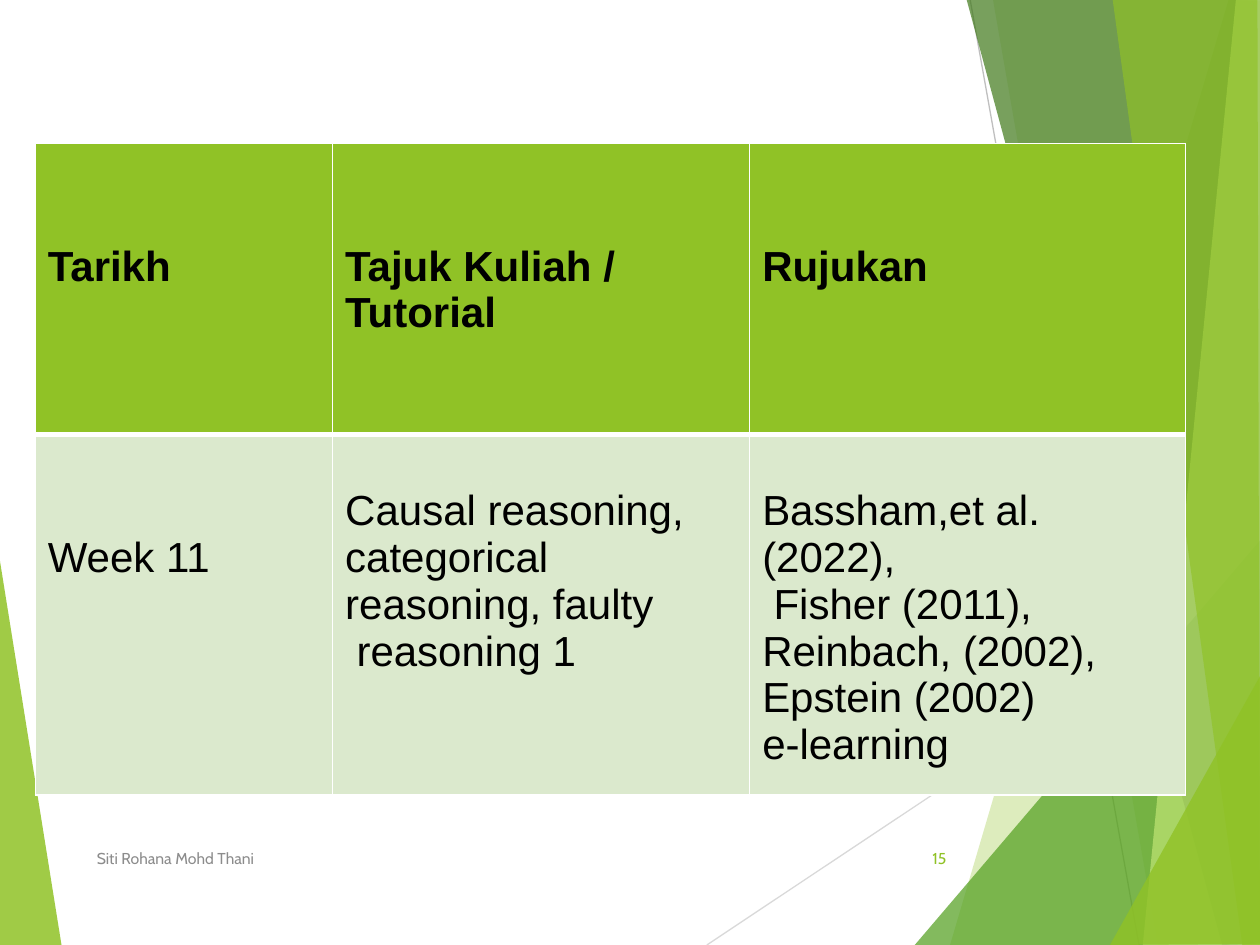
from lxml.etree import SubElement
from pptx import Presentation
from pptx.dml.color import RGBColor
from pptx.enum.shapes import MSO_CONNECTOR as Connector
from pptx.enum.text import MSO_ANCHOR as Anchor, PP_ALIGN as Align
from pptx.oxml.ns import qn
from pptx.util import Inches, Pt

LIME = RGBColor(0x90, 0xC2, 0x26)
GREEN = RGBColor(0x54, 0xA0, 0x21)
FOREST = RGBColor(0x3F, 0x78, 0x19)
PALE_LIME = RGBColor(0xC0, 0xE4, 0x74)
PALE_GREEN = RGBColor(0xDB, 0xE9, 0xCD)
LIGHT_GRAY = RGBColor(0xD9, 0xD9, 0xD9)
MID_GRAY = RGBColor(0xBF, 0xBF, 0xBF)
FOOTER_GRAY = RGBColor(0x8C, 0x8C, 0x8C)
BLACK = RGBColor(0, 0, 0)
WHITE = RGBColor(255, 255, 255)

LEFT_FACET = (LIME, 85, [(-0.01, 4.39), (0.49, 7.51), (-0.01, 7.5)])
RIGHT_FACETS = [
    (LIME, 30, [(9.75, 0), (7.54, 7.5), (10.02, 7.51), (10.01, 0.01)]),
    (LIME, 20, [(7.88, -0.01), (9.19, 7.5), (10.01, 7.5), (10.01, -0.01)]),
    (GREEN, 72, [(7.26, 7.5), (10, 4.29), (10.01, 7.5)]),
    (FOREST, 70, [(7.67, -0.01), (9.7, 7.5), (10.01, 7.49), (10.01, -0.01)]),
    (PALE_LIME, 70, [(9.81, -0.01), (9.07, 7.5), (10.01, 7.5), (10, -0.01)]),
    (LIME, 65, [(8.83, -0.01), (9.86, 7.5), (10, 7.5), (9.98, -0.01)]),
    (LIME, 80, [(8.81, 7.5), (10.01, 5.35), (10.01, 7.49)]),
]
RAYS = [
    (LIGHT_GRAY, (5.61, 7.5, 10.01, 4.57)),
    (MID_GRAY, (7.7, 0, 9.04, 7.5)),
]
COLUMN_WIDTHS = [2.36, 3.31, 3.46]
LOW_START, HIGH_START = 0.79, 0.42
INDENTED = {"reasoning 1", "Fisher (2011),"}
ROWS = [
    {"height": 2.31, "fill": LIME, "bold": True, "top": 1, "bottom": 3,
     "cells": [(LOW_START, ["Tarikh"]),
               (LOW_START, ["Tajuk Kuliah / Tutorial"]),
               (LOW_START, ["Rujukan"])]},
    {"height": 2.86, "fill": PALE_GREEN, "bold": False, "top": 3, "bottom": 1,
     "cells": [(LOW_START, ["Week 11"]),
               (HIGH_START, ["Causal reasoning, categorical reasoning, faulty",
                             "reasoning 1"]),
               (HIGH_START, ["Bassham,et al. (2022),", "Fisher (2011),",
                             "Reinbach, (2002),", "Epstein (2002)",
                             "e-learning"])]},
]
FOOTERS = [
    ("Siti Rohana Mohd Thani", 0.67, 5.06, FOOTER_GRAY, Align.LEFT),
    ("15", 7.05, 0.56, LIME, Align.RIGHT),
]


def add_facet(page, color, opacity, points):
    corners = [(Inches(x), Inches(y)) for x, y in points]
    builder = page.shapes.build_freeform(*corners[0])
    builder.add_line_segments(corners[1:])
    facet = builder.convert_to_shape()
    facet.shadow.inherit = False
    facet.fill.solid()
    facet.fill.fore_color.rgb = color
    facet.line.fill.background()
    fill_color = facet.fill._xPr.find(qn("a:solidFill"))[0]
    SubElement(fill_color, qn("a:alpha"), val=str(opacity * 1000))


def add_ray(page, color, ends):
    ray = page.shapes.add_connector(Connector.STRAIGHT, *map(Inches, ends))
    ray.line.color.rgb = color
    ray.line.width = Pt(0.75)
    SubElement(ray._element.spPr, qn("a:effectLst"))


def add_borders(cell, top, bottom):
    properties = cell._tc.get_or_add_tcPr()
    for side, width in (("L", 1), ("R", 1), ("T", top), ("B", bottom)):
        border = SubElement(properties, qn(f"a:ln{side}"), w=str(Pt(width)))
        fill = SubElement(border, qn("a:solidFill"))
        SubElement(fill, qn("a:srgbClr"), val=str(WHITE))


def fill_cell(cell, row, top_margin, lines):
    add_borders(cell, row["top"], row["bottom"])
    cell.fill.solid()
    cell.fill.fore_color.rgb = row["fill"]
    cell.margin_top = Inches(top_margin)
    cell.text = "\n".join(lines)
    for para in cell.text_frame.paragraphs:
        if para.text in INDENTED:
            para._p.get_or_add_pPr().set("marL", str(Inches(0.09)))
        set_font(para, "Arial", 24, BLACK, row["bold"])


def set_font(para, name, size, color, bold=False):
    para.font.name = name
    para.font.size = Pt(size)
    para.font.color.rgb = color
    para.font.bold = bold


def add_schedule(page):
    total_height = sum(row["height"] for row in ROWS)
    schedule = page.shapes.add_table(
        len(ROWS), len(COLUMN_WIDTHS), Inches(0.28), Inches(1.14),
        Inches(sum(COLUMN_WIDTHS)), Inches(total_height)).table
    schedule.horz_banding = False
    for column, width in zip(schedule.columns, COLUMN_WIDTHS):
        column.width = Inches(width)
    for r, row in enumerate(ROWS):
        schedule.rows[r].height = Inches(row["height"])
        for c, (top_margin, lines) in enumerate(row["cells"]):
            fill_cell(schedule.cell(r, c), row, top_margin, lines)


def add_footer(page, text, left, width, color, alignment):
    box = page.shapes.add_textbox(
        Inches(left), Inches(6.61), Inches(width), Inches(0.4))
    frame = box.text_frame
    frame.word_wrap = True
    frame.vertical_anchor = Anchor.MIDDLE
    para = frame.paragraphs[0]
    para.text = text
    para.alignment = alignment
    set_font(para, "Cabin", 9, color)


def main():
    deck = Presentation()
    deck.slide_width, deck.slide_height = Inches(10), Inches(7.5)
    page = deck.slides.add_slide(deck.slide_layouts[6])
    add_facet(page, *LEFT_FACET)
    for ray in RAYS:
        add_ray(page, *ray)
    for facet in RIGHT_FACETS:
        add_facet(page, *facet)
    add_schedule(page)
    for footer in FOOTERS:
        add_footer(page, *footer)
    deck.save("out.pptx")


if __name__ == "__main__":
    main()
